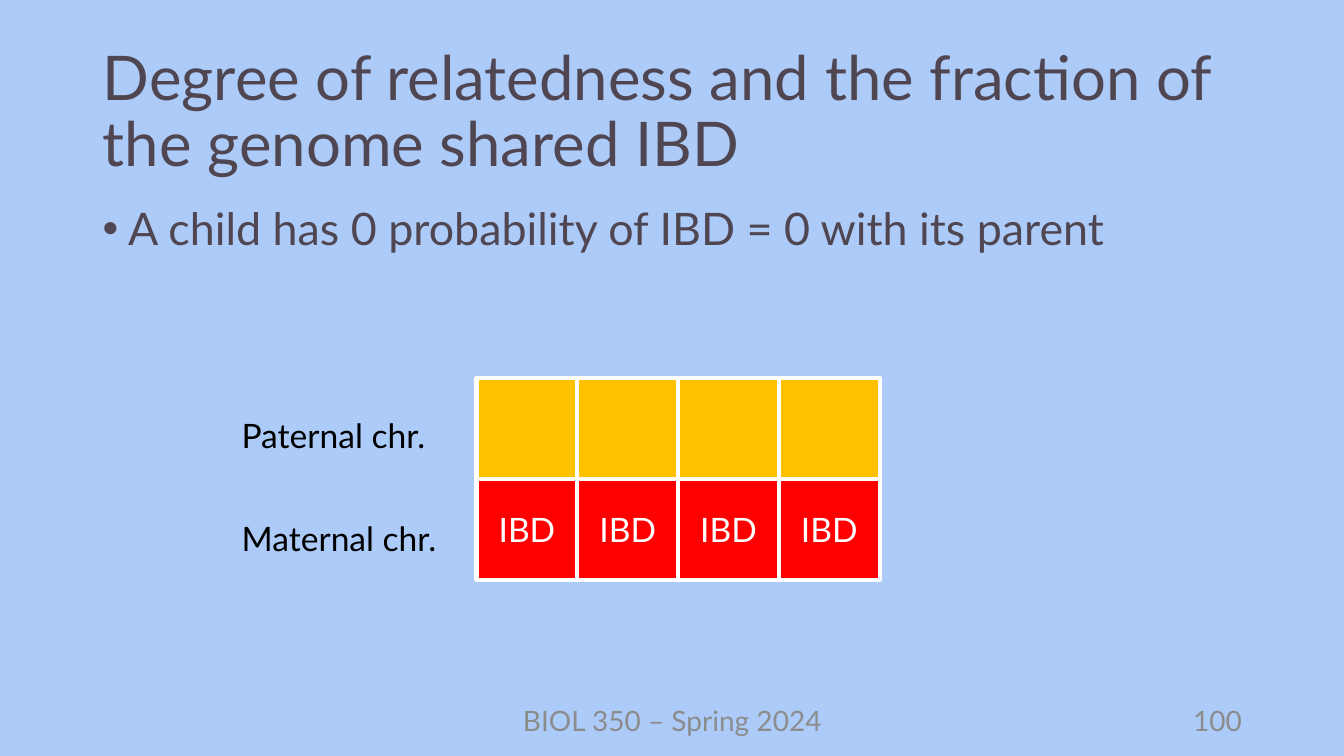
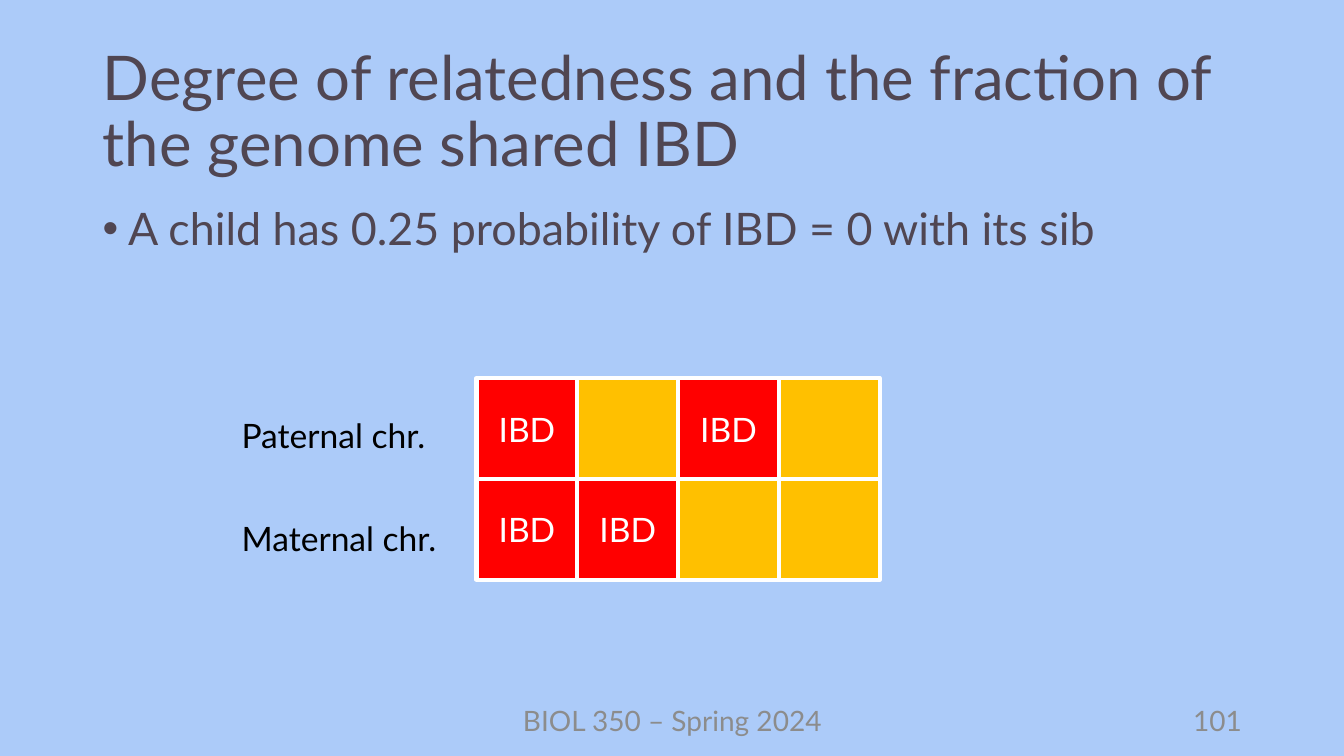
from pptx import Presentation
from pptx.dml.color import RGBColor
from pptx.enum import shapes, text
from pptx.oxml import ns, xmlchemy
from pptx.util import Cm, Pt

COLORS = {
    "background": "ACCBF9",
    "heading": "504652",
    "footer": "8C8C8C",
    "label": "000000",
    "white": "FFFFFF",
    "other": "FFC000",
    "shared": "FF0000",
}
FONT = "Lato"
TITLE = "Degree of relatedness and the fraction of the genome shared IBD"
FOOTER = "BIOL 350 – Spring 2024"
ROWS = ("Paternal chr.", "Maternal chr.")
SLIDES = (
    (100, "A child has 0 probability of IBD = 0 with its parent", ("0000", "1111")),
    (101, "A child has 0.25 probability of IBD = 0 with its sib", ("1010", "1100")),
)
MARGIN, CONTENT_WIDTH = 2.34, 29.21
FOOTER_TOP, FOOTER_HEIGHT = 17.65, 1.02
GRID_LEFT, GRID_TOP, CELL = 12.01, 9.53, 2.54
LABEL_LEFT, LABEL_TOP, LABEL_STEP = 5.84, 10.34, 2.59


def rgb(name):
    return RGBColor.from_string(COLORS[name])


def write(tf, content, size=24, color="label", align="LEFT", anchor="TOP",
          spacing=1.0, bullet=False):
    tf.word_wrap = True
    tf.auto_size = text.MSO_AUTO_SIZE.NONE
    tf.vertical_anchor = text.MSO_ANCHOR[anchor]
    p = tf.paragraphs[0]
    if bullet:
        props = p._p.get_or_add_pPr()
        props.set("marL", str(Cm(0.64)))
        props.set("indent", str(-Cm(0.64)))
        for tag, key, value in (("a:buFont", "typeface", "Arial"),
                                ("a:buChar", "char", "•")):
            mark = xmlchemy.OxmlElement(tag)
            mark.set(key, value)
            props.append(mark)
    p.alignment = text.PP_ALIGN[align]
    p.line_spacing = spacing
    r = p.add_run()
    r.text = content
    r.font.name = FONT
    r.font.size = Pt(size)
    r.font.color.rgb = rgb(color)


class Deck:
    def __init__(self):
        self.prs = Presentation()
        self.prs.slide_width, self.prs.slide_height = Cm(33.87), Cm(19.05)
        fill = self.prs.slide_master.background.fill
        fill.solid()
        fill.fore_color.rgb = rgb("background")
        self.s = None

    def start(self, title, number):
        layout = self.prs.slide_layouts.get_by_name("Title Only")
        self.s = self.prs.slides.add_slide(layout)
        sp = self.s.shapes.title
        sp.left, sp.top = Cm(MARGIN), Cm(1.02)
        sp.width, sp.height = Cm(CONTENT_WIDTH), Cm(3.68)
        write(sp.text_frame, title, size=44, color="heading",
              anchor="MIDDLE", spacing=0.9)
        self.footer(FOOTER, 11.23, 11.43, "CENTER")
        self.footer(str(number), 23.93, 7.62, "RIGHT")

    def textbox(self, content, left, top, width, height, **style):
        sp = self.s.shapes.add_textbox(Cm(left), Cm(top), Cm(width), Cm(height))
        write(sp.text_frame, content, **style)

    def footer(self, content, left, width, align):
        self.textbox(content, left, FOOTER_TOP, width, FOOTER_HEIGHT,
                     size=20, color="footer", align=align, anchor="MIDDLE")

    def bullet(self, content):
        self.textbox(content, MARGIN, 5.08, CONTENT_WIDTH, 12.09, size=32,
                     color="heading", spacing=0.9, bullet=True)

    def cell(self, row, col, shared):
        sp = self.s.shapes.add_shape(
            shapes.MSO_SHAPE.RECTANGLE, Cm(GRID_LEFT + col * CELL),
            Cm(GRID_TOP + row * CELL), Cm(CELL), Cm(CELL))
        sp.shadow.inherit = False
        sp.fill.solid()
        sp.fill.fore_color.rgb = rgb("shared" if shared else "other")
        sp.line.color.rgb = rgb("white")
        sp.line.width = Pt(3)
        if shared:
            write(sp.text_frame, "IBD", color="white", align="CENTER",
                  anchor="MIDDLE")

    def chromosomes(self, patterns):
        for row, (label, pattern) in enumerate(zip(ROWS, patterns)):
            self.textbox(label, LABEL_LEFT, LABEL_TOP + row * LABEL_STEP, 6.2, 1.27)
            for col, mark in enumerate(pattern):
                self.cell(row, col, mark == "1")


def main():
    deck = Deck()
    for number, statement, patterns in SLIDES:
        deck.start(TITLE, number)
        deck.bullet(statement)
        deck.chromosomes(patterns)
    deck.prs.save("out.pptx")


if __name__ == "__main__":
    main()
